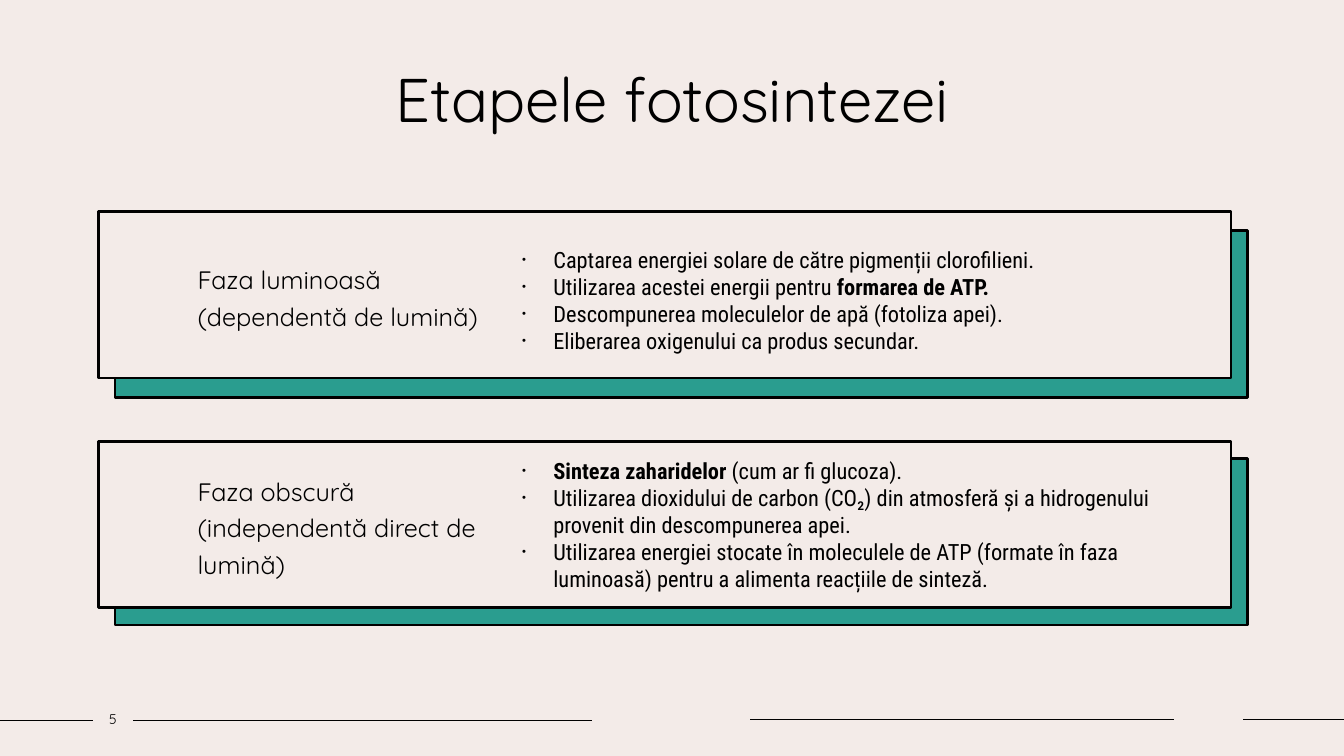
import pptx
import pptx.util
import pptx.dml.color
import pptx.enum.shapes
import pptx.enum.text
import pptx.oxml.ns
from lxml import etree
from pptx.util import Inches

COLORS = {"background": "F3EBE8", "accent": "2A9D8F", "ink": "000000"}
HEADING_FONT = "Quicksand"
BODY_FONT = "Roboto Condensed"
CARD_LEFT, CARD_WIDTH, CARD_HEIGHT = 0.98, 11.23, 1.65
ALIGN = pptx.enum.text.PP_ALIGN
ANCHOR = pptx.enum.text.MSO_ANCHOR

FOOTER_LINES = [(0, 0.92, 7.15), (1.32, 5.87, 7.15), (7.44, 11.64, 7.14), (12.33, 13.33, 7.14)]

PHASES = [
    {
        "card_top": 2.1, "shadow_top": 2.29, "list_top": 2.2, "list_height": 1.56,
        "label": "Faza luminoasă (dependentă de lumină)",
        "points": [
            [("Captarea energiei solare de către pigmenții clorofilieni.", False)],
            [("Utilizarea acestei energii pentru ", False), ("formarea de ATP.", True)],
            [("Descompunerea moleculelor de apă (fotoliza apei).", False)],
            [("Eliberarea oxigenului ca produs secundar.", False)],
        ],
    },
    {
        "card_top": 4.38, "shadow_top": 4.55, "list_top": 4.48, "list_height": 1.45,
        "label": "Faza obscură (independentă direct de lumină)",
        "points": [
            [("Sinteza zaharidelor", True), (" (cum ar fi glucoza).", False)],
            [("Utilizarea dioxidului de carbon (CO₂) din atmosferă și a hidrogenului "
              "provenit din descompunerea apei.", False)],
            [("Utilizarea energiei stocate în moleculele de ATP (formate în faza luminoasă) "
              "pentru a alimenta reacțiile de sinteză.", False)],
        ],
    },
]


def color(name):
    return pptx.dml.color.RGBColor.from_string(COLORS[name])


def add_bullet(paragraph):
    properties = paragraph._p.get_or_add_pPr()
    properties.set("marL", str(Inches(0.31)))
    properties.set("indent", str(-Inches(0.31)))
    for tag, attribute, value in (("a:buSzPct", "val", "50000"),
                                  ("a:buFont", "typeface", "Arial"),
                                  ("a:buChar", "char", "•")):
        etree.SubElement(properties, pptx.oxml.ns.qn(tag)).set(attribute, value)


def write_text(shape, paragraphs, font=HEADING_FONT, size=18, align=ALIGN.LEFT,
               anchor=ANCHOR.MIDDLE, insets=(0.1, 0.1), line_spacing=None, bullets=False):
    frame = shape.text_frame
    frame.word_wrap = True
    frame.vertical_anchor = anchor
    frame.margin_left, frame.margin_right = (Inches(inset) for inset in insets)
    frame.margin_top = frame.margin_bottom = Inches(0.05)
    for index, runs in enumerate(paragraphs):
        paragraph = frame.add_paragraph() if index else frame.paragraphs[0]
        paragraph.alignment = align
        if line_spacing:
            paragraph.line_spacing = line_spacing
        if bullets:
            add_bullet(paragraph)
        for text, bold in runs:
            run = paragraph.add_run()
            run.text = text
            run.font.name = font
            run.font.size = pptx.util.Pt(size)
            run.font.bold = bold
            run.font.color.rgb = color("ink")


def add_text_box(slide, left, top, width, height, paragraphs, **text_format):
    box = slide.shapes.add_textbox(Inches(left), Inches(top), Inches(width), Inches(height))
    write_text(box, paragraphs, **text_format)


def add_card(slide, left, top, fill):
    card = slide.shapes.add_shape(pptx.enum.shapes.MSO_SHAPE.RECTANGLE, Inches(left), Inches(top),
                                  Inches(CARD_WIDTH), Inches(CARD_HEIGHT))
    card.shadow.inherit = False
    card.fill.solid()
    card.fill.fore_color.rgb = color(fill)
    card.line.color.rgb = color("ink")
    card.line.width = pptx.util.Pt(2)
    return card


def add_footer_line(slide, start, end, height):
    line = slide.shapes.add_connector(pptx.enum.shapes.MSO_CONNECTOR.STRAIGHT, Inches(start),
                                      Inches(height), Inches(end), Inches(height))
    line.line.color.rgb = color("ink")
    line.line.width = pptx.util.Pt(1)
    etree.SubElement(line._element.spPr, pptx.oxml.ns.qn("a:effectLst"))


def add_phase(slide, phase):
    add_card(slide, 1.14, phase["shadow_top"], "accent")
    card = add_card(slide, CARD_LEFT, phase["card_top"], "background")
    write_text(card, [[(phase["label"], False)]], insets=(0.98, 7.1), line_spacing=1.2)
    add_text_box(slide, 5.08, phase["list_top"], 7.01, phase["list_height"], phase["points"],
                 font=BODY_FONT, size=16, bullets=True)


def main():
    presentation = pptx.Presentation()
    presentation.slide_width = Inches(13.33)
    presentation.slide_height = Inches(7.5)
    slide = presentation.slides.add_slide(presentation.slide_layouts[6])
    slide.background.fill.solid()
    slide.background.fill.fore_color.rgb = color("background")

    for start, end, height in FOOTER_LINES:
        add_footer_line(slide, start, end, height)
    add_text_box(slide, 1.25, 0.56, 10.84, 1.11, [[("Etapele fotosintezei", False)]],
                 size=44, align=ALIGN.CENTER, anchor=ANCHOR.TOP)
    for phase in PHASES:
        add_phase(slide, phase)
    add_text_box(slide, 0.92, 7, 0.4, 0.27, [[("5", False)]],
                 size=10, align=ALIGN.CENTER, insets=(0, 0))
    presentation.save("out.pptx")


if __name__ == "__main__":
    main()
